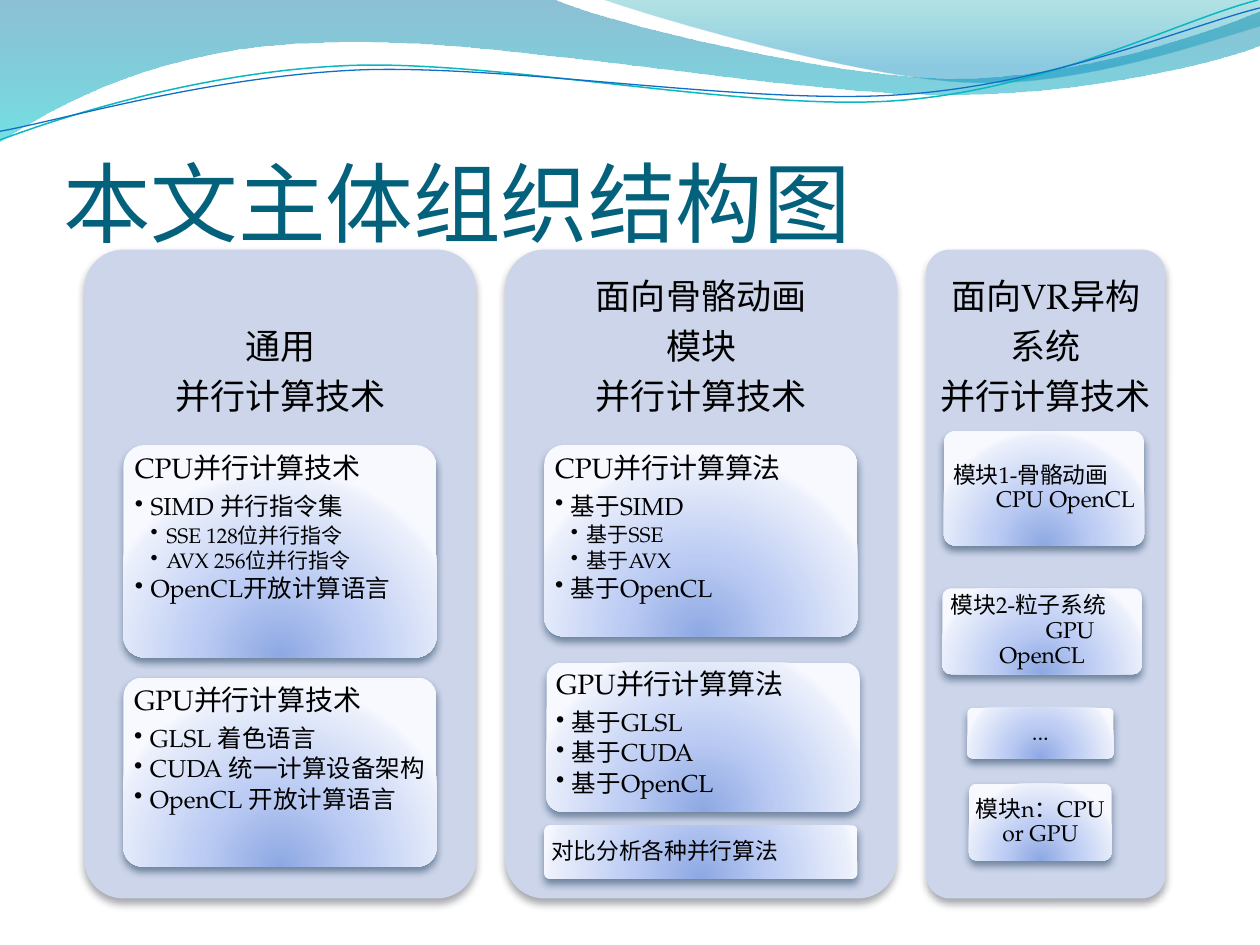
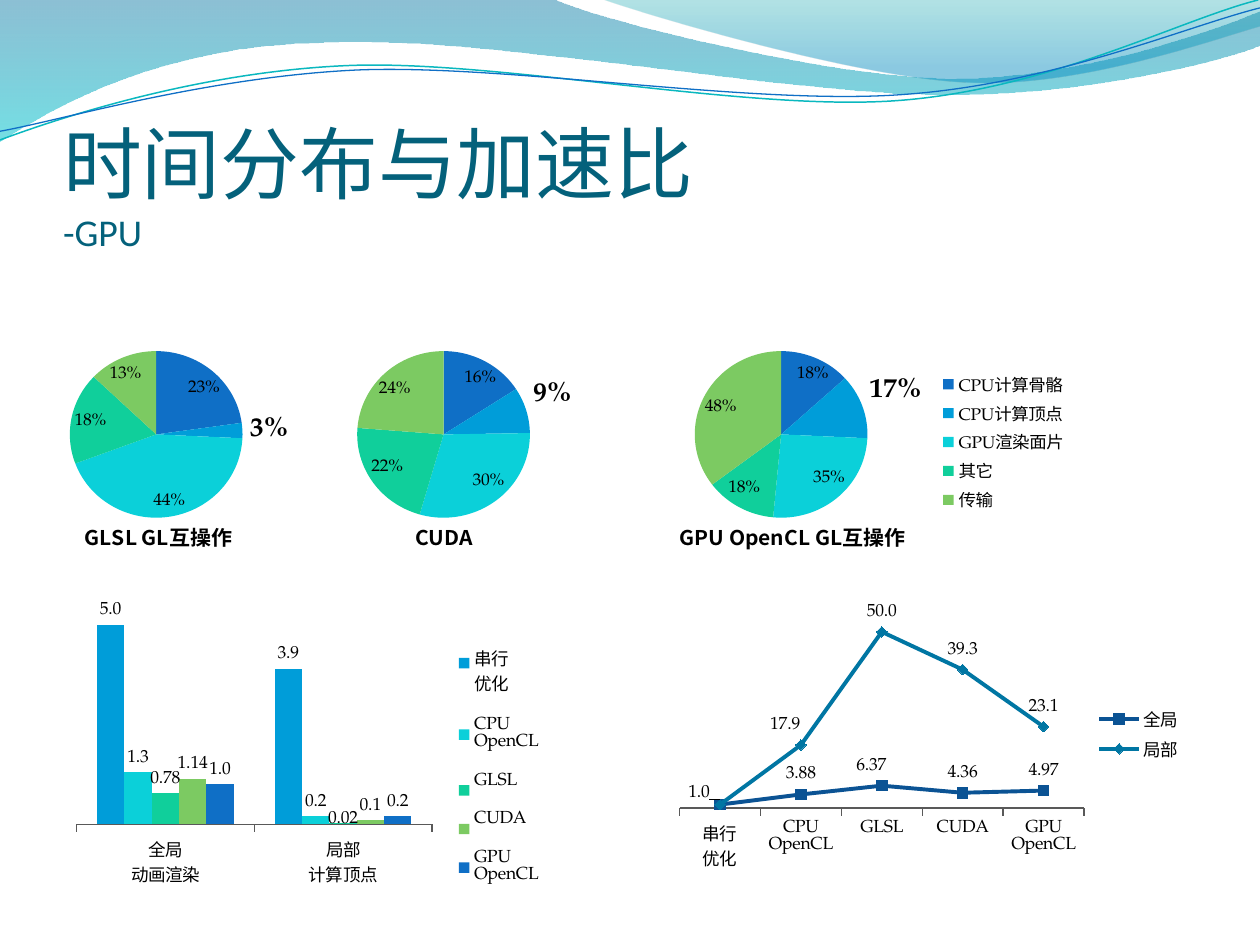
from lxml import etree
from pptx import Presentation
from pptx.chart.data import CategoryChartData
from pptx.dml.color import RGBColor
from pptx.enum.chart import (XL_CHART_TYPE, XL_LABEL_POSITION, XL_LEGEND_POSITION,
                             XL_MARKER_STYLE, XL_TICK_LABEL_POSITION, XL_TICK_MARK)
from pptx.enum.shapes import MSO_SHAPE
from pptx.enum.text import MSO_ANCHOR, MSO_AUTO_SIZE, PP_ALIGN
from pptx.oxml import parse_xml
from pptx.oxml.ns import nsdecls, qn
from pptx.util import Pt

LEFT, CENTER, RIGHT = PP_ALIGN.LEFT, PP_ALIGN.CENTER, PP_ALIGN.RIGHT
TOP, MIDDLE, BOTTOM = MSO_ANCHOR.TOP, MSO_ANCHOR.MIDDLE, MSO_ANCHOR.BOTTOM
ROUNDED = MSO_SHAPE.ROUNDED_RECTANGLE
PIE, COLUMN, LINE = (XL_CHART_TYPE.PIE, XL_CHART_TYPE.COLUMN_CLUSTERED,
                     XL_CHART_TYPE.LINE_MARKERS)
ABOVE, BEST_FIT, OUTSIDE = (XL_LABEL_POSITION.ABOVE, XL_LABEL_POSITION.BEST_FIT,
                            XL_LABEL_POSITION.OUTSIDE_END)
SQUARE, DIAMOND = XL_MARKER_STYLE.SQUARE, XL_MARKER_STYLE.DIAMOND

BODY_FONT, TITLE_FONT, CAPTION_FONT = "TeX Gyre Pagella", "Calibri", "Noto Sans CJK SC"
BLACK, TITLE_COLOR, PANEL_COLOR = "000000", "04617B", "CCD5EA"
BLUE, SKY, CYAN, GREEN, LIME = "0F6FC6", "009DD9", "0BD0D9", "10CF9B", "7CCA62"
CARD_STOPS = [(0, "8DA8E3", 100), (43, "BBCBF3", 100), (93, "EAEFFB", 100), (100, "F7F9FF", 100)]
CARD_GLOW = ('<a:path path="circle"><a:fillToRect l="50000" t="130000" r="50000" b="-30000"/>'
             '</a:path>')
DOWNWARD = '<a:lin ang="5400000" scaled="0"/>'
LEVEL_SIZES = (16, 14, 12)

# Wave paths in points: pairs are straight ends, sextuples are Bezier curves
WAVE_BANDS = [
    ([(0, 0), (317, 0), (343, 12, 478, 45, 546, 45), (614, 45, 690, 19, 720, 6.5), (720, 26),
      (708, 32, 626, 55, 537, 54), (447, 54, 275, 20, 185, 24.5), (93, 26, 33, 60, 0, 81)],
     [(0, "0074A1", 45), (100, "00C6CF", 55)]),
    ([(345, 0), (367, 8, 491, 45, 554, 47), (616, 50, 692, 23, 720, 15), (720, 0)],
     [(0, "00A1A9", 30), (80, "008BBF", 45)]),
]
WAVE_LINES = [
    ([(0, 80), (35, 67, 114, 41, 199, 37.5), (284, 34, 427, 64, 513, 57.5),
      (600, 51, 675, 11, 719, 0)], "0AB8BF", 0.85),
    ([(0, 75), (34, 69, 118, 44, 204, 40), (290, 36.5, 430, 60.5, 516, 54),
      (602, 48, 678, 15, 720, 4.5)], BLUE, 0.75),
]

# Columns: left, width, heading lines
COLUMNS = [
    (48.2, 223.9, ["通用", "并行计算技术"]),
    (288.7, 223.9, ["面向骨骼动画", "模块", "并行计算技术"]),
    (529.2, 136.8, ["面向VR异构", "系统", "并行计算技术"]),
]
# Outline cards: box, then (level, text)
OUTLINES = [
    ((70.5, 254.3, 179, 121.5), [
        (0, "CPU并行计算技术"), (1, "SIMD 并行指令集"), (2, "SSE 128位并行指令"),
        (2, "AVX 256位并行指令"), (1, "OpenCL开放计算语言")]),
    ((70.5, 387.2, 179, 108), [
        (0, "GPU并行计算技术"), (1, "GLSL 着色语言"), (1, "CUDA 统一计算设备架构"),
        (1, "OpenCL 开放计算语言")]),
    ((311, 254.3, 179, 109.4), [
        (0, "CPU并行计算算法"), (1, "基于SIMD"), (2, "基于SSE"), (2, "基于AVX"),
        (1, "基于OpenCL")]),
    ((312.3, 378.7, 179, 85), [
        (0, "GPU并行计算算法"), (1, "基于GLSL"), (1, "基于CUDA"), (1, "基于OpenCL")]),
]
# Module cards: box, side inset, then (text, alignment, indent)
MODULES = [
    ((311, 471.6, 179, 30.5), 3, [("对比分析各种并行算法", LEFT, 0)]),
    ((539.3, 246.2, 114.5, 65.5), 3.5, [("模块1-骨骼动画", LEFT, 0), ("CPU OpenCL", RIGHT, 0)]),
    ((538.5, 336.2, 114, 49), 3.5, [("模块2-粒子系统", LEFT, 0), ("GPU", CENTER, 32),
                                    ("OpenCL", CENTER, 0)]),
    ((552.8, 404.6, 83.5, 28.8), 3, [("...", CENTER, 0)]),
    ((553.7, 447.8, 81.5, 44), 1, [("模块n：CPU or GPU", CENTER, 0)]),
]
# Pies: left, caption, caption offset, slice names, shares
STAGES = ["CPU计算骨骼", "CPU计算顶点", "GPU渲染面片", "其它", "传输"]
NUMBERS = ["1", "2", "3", "4", "5"]
TIME_SHARES = [
    (371.5, "GPU OpenCL GL互操作", 0.06, STAGES, (0.18, 0.17, 0.35, 0.18, 0.48)),
    (178.6, "CUDA", 0.23, NUMBERS, (0.16, 0.09, 0.3, 0.22, 0.24)),
    (14.4, "GLSL GL互操作", 0.13, NUMBERS, (0.23, 0.03, 0.44, 0.18, 0.13)),
]
METHODS = ["串行\n优化", "CPU\nOpenCL", "GLSL", "CUDA", "GPU\nOpenCL"]
TIMES = [(5, 3.9), (1.3, 0.2), (0.78, 0.02), (1.14, 0.1), (1, 0.2)]
TIME_STYLES = [(SKY, "0.0"), (CYAN, "0.0"), (GREEN, "0.00"), (LIME, "General"), (BLUE, "0.0")]
SPEEDUPS = [("全局", (1, 3.88, 6.37, 4.36, 4.97)), ("局部", (1, 17.9, 50, 39.3, 23.1))]
SPEEDUP_STYLES = [("0B5394", SQUARE, "0.00"), ("0076A3", DIAMOND, "0.0")]


def rgb(value):
    return RGBColor.from_string(value)


def box_of(box):
    return [Pt(length) for length in box]


# ---- Text ----
def style_font(font, size, color=BLACK, name=BODY_FONT, bold=False):
    font.size, font.name, font.bold = Pt(size), name, bold
    font.color.rgb = rgb(color)


def write(paragraph, text, size, color=BLACK, name=BODY_FONT, align=LEFT,
          spacing=0.9, after=0, indent=0, bullet=False):
    properties = paragraph._p.get_or_add_pPr()
    if indent:
        properties.set("marL", str(Pt(indent)))
    if bullet:
        properties.set("indent", str(-Pt(9)))
        etree.SubElement(properties, qn("a:buChar"), char="•")
    paragraph.alignment, paragraph.line_spacing = align, spacing
    paragraph.space_after = Pt(after)
    run = paragraph.add_run()
    run.text = text
    style_font(run.font, size, color, name)
    etree.SubElement(run._r.get_or_add_rPr(), qn("a:ea"), typeface=TITLE_FONT)


def next_paragraph(frame):
    first = frame.paragraphs[0]
    return frame.add_paragraph() if first.runs else first


def set_frame(frame, anchor, insets):
    frame.word_wrap, frame.auto_size, frame.vertical_anchor = True, MSO_AUTO_SIZE.NONE, anchor
    (frame.margin_left, frame.margin_top,
     frame.margin_right, frame.margin_bottom) = box_of(insets)


def set_title(slide, text, size, subtitle=None):
    title = slide.shapes.title
    title.left, title.top, title.width, title.height = box_of((36, 55.4, 648, 90))
    set_frame(title.text_frame, BOTTOM, (0, 3.6, 0, 0))
    paragraph = title.text_frame.paragraphs[0]
    style = dict(color=TITLE_COLOR, name=TITLE_FONT, spacing=1.0)
    write(paragraph, text, size, **style)
    if subtitle:
        paragraph.add_line_break()
        write(paragraph, subtitle, 21.6, **style)


# ---- Shapes ----
def fill_gradient(shape, stops, direction):
    shape.fill.background()
    stop_xml = "".join(
        f'<a:gs pos="{pos * 1000}"><a:srgbClr val="{color}"><a:alpha val="{alpha * 1000}"/>'
        f'</a:srgbClr></a:gs>' for pos, color, alpha in stops)
    properties = shape.element.spPr
    properties.replace(properties.find(qn("a:noFill")), parse_xml(
        f'<a:gradFill {nsdecls("a")} rotWithShape="1"><a:gsLst>{stop_xml}</a:gsLst>'
        f'{direction}</a:gradFill>'))


def add_rounded(slide, box, shadow_color):
    shape = slide.shapes.add_shape(ROUNDED, *box_of(box))
    shape.adjustments[0] = 0.1
    shape.line.fill.background()
    shape.shadow.inherit = False
    shape.element.spPr.find(qn("a:effectLst")).append(parse_xml(
        f'<a:outerShdw {nsdecls("a")} blurRad="{Pt(4.5)}" dist="{Pt(3)}" dir="5400000" '
        f'rotWithShape="0"><a:srgbClr val="{shadow_color}"><a:alpha val="48000"/></a:srgbClr>'
        '</a:outerShdw>'))
    return shape


def add_card(slide, box, anchor, side=3):
    card = add_rounded(slide, box, "042747")
    fill_gradient(card, CARD_STOPS, CARD_GLOW)
    set_frame(card.text_frame, anchor, (side, 2, side, 2))
    return card.text_frame


def add_column(slide, left, width, heading):
    panel = add_rounded(slide, (left, 142.6, width, 370.8), "474B53")
    panel.fill.solid()
    panel.fill.fore_color.rgb = rgb(PANEL_COLOR)
    frame = slide.shapes.add_textbox(*box_of((left, 142.6, width, 111.6))).text_frame
    set_frame(frame, BOTTOM, (6, 6, 6, 16))
    for number, line in enumerate(heading, 1):
        write(next_paragraph(frame), line, 20, align=CENTER,
              after=7 if number < len(heading) else 0)


def add_wave(slide, path, close):
    ends = [(Pt(segment[-2]), Pt(segment[-1])) for segment in path]
    builder = slide.shapes.build_freeform(*ends[0])
    builder.add_line_segments(ends[1:], close=close)
    wave = builder.convert_to_shape()
    wave.shadow.inherit = False
    # Bend the straight segments that have control points
    for segment, straight in zip(path[1:], wave.element.xpath(".//a:lnTo")):
        if len(segment) == 6:
            curve = etree.Element(qn("a:cubicBezTo"))
            for x, y in zip(segment[::2], segment[1::2]):
                etree.SubElement(curve, qn("a:pt"), x=str(Pt(x) - wave.left),
                                 y=str(Pt(y) - wave.top))
            straight.getparent().replace(straight, curve)
    return wave


def draw_waves(slide, layout):
    """Draw the header waves and hand them to the layout both slides use."""
    waves = []
    for path, stops in WAVE_BANDS:
        band = add_wave(slide, path, True)
        fill_gradient(band, stops, DOWNWARD)
        band.line.fill.background()
        waves.append(band)
    for path, color, width in WAVE_LINES:
        curve = add_wave(slide, path, False)
        curve.fill.background()
        curve.line.color.rgb, curve.line.width = rgb(color), Pt(width)
        waves.append(curve)
    for index, wave in enumerate(waves):
        wave.element.xpath(".//p:cNvPr")[0].set("id", str(20 + index))
        layout.shapes.element.insert(2 + index, wave.element)


# ---- Charts ----
def place(parent, index, inner=False, **position):
    old = parent.find(qn("c:layout"))
    if old is not None:
        parent.remove(old)
    layout = etree.Element(qn("c:layout"))
    manual = etree.SubElement(layout, qn("c:manualLayout"))
    if inner:
        etree.SubElement(manual, qn("c:layoutTarget"), val="inner")
    for mode in ("xMode", "yMode"):
        etree.SubElement(manual, qn(f"c:{mode}"), val="edge")
    for key, value in position.items():
        etree.SubElement(manual, qn(f"c:{key}"), val=str(value))
    parent.insert(index, layout)


def add_chart(slide, kind, box, categories, series, plot_box, legend, number_format="General"):
    data = CategoryChartData(number_format=number_format)
    data.categories = categories
    for name, values in series:
        data.add_series(name, values)
    chart = slide.shapes.add_chart(kind, *box_of(box), data).chart
    style_font(chart.font, 10)
    chart.has_title = False
    chart.has_legend = legend
    if legend:
        chart.legend.position = XL_LEGEND_POSITION.RIGHT
        chart.legend.include_in_layout = False
    chart.plots[0].vary_by_categories = kind == PIE
    place(chart.element.find(".//" + qn("c:plotArea")), 0, inner=True,
          **dict(zip("xywh", plot_box)))
    return chart


def set_axes(chart, maximum):
    values, categories = chart.value_axis, chart.category_axis
    values.minimum_scale, values.maximum_scale = 0, maximum
    values.has_major_gridlines = values.visible = False
    categories.major_tick_mark = XL_TICK_MARK.OUTSIDE
    categories.tick_label_position = XL_TICK_LABEL_POSITION.LOW
    categories.format.line.color.rgb = rgb("595959")


def show_values(series, number_format, position):
    labels = series.data_labels
    labels.show_value = True
    labels.number_format, labels.number_format_is_linked = number_format, False
    labels.position = position


def adjust_label(series, order, point, content):
    series.data_labels._element.insert(order, parse_xml(
        f'<c:dLbl {nsdecls("c")}><c:idx val="{point}"/>{content}</c:dLbl>'))


def shift_label(series, order, point, dx, dy, number_format, position):
    hidden = "".join(f'<c:{part} val="0"/>' for part in
                     ("showCatName", "showSerName", "showPercent", "showBubbleSize"))
    adjust_label(series, order, point,
                 f'<c:layout><c:manualLayout><c:x val="{dx}"/><c:y val="{dy}"/></c:manualLayout>'
                 f'</c:layout><c:numFmt formatCode="{number_format}" sourceLinked="0"/>'
                 f'<c:dLblPos val="{position}"/><c:showLegendKey val="0"/>'
                 f'<c:showVal val="1"/>{hidden}')


def add_time_pie(slide, left, caption, caption_x, slices, shares, legend):
    chart = add_chart(slide, PIE, (left, 190.8, 245.5, 128.2), slices, [("Series 1", shares)],
                      (0.08, 0.08, 0.45, 0.77), legend, "0%")
    chart.has_title = True
    run = chart.chart_title.text_frame.paragraphs[0].add_run()
    run.text = caption
    style_font(run.font, 12, name=CAPTION_FONT, bold=True)
    title = chart.chart_title._element
    place(title, 1, x=caption_x, y=0.84)
    title.find(qn("c:overlay")).set("val", "1")
    series = chart.plots[0].series[0]
    show_values(series, "0%", BEST_FIT)
    for index, color in enumerate((BLUE, SKY, CYAN, GREEN, LIME)):
        fill = series.points[index].format.fill
        fill.solid()
        fill.fore_color.rgb = rgb(color)
    vertex_label = series.points[1].data_label
    style_font(vertex_label.font, 16, bold=True)
    vertex_label.position = OUTSIDE


def add_speedup_lines(slide):
    chart = add_chart(slide, LINE, (382.3, 337.7, 300.2, 163.4), METHODS, SPEEDUPS,
                      (0.02, 0.02, 0.77, 0.74), True)
    set_axes(chart, 60)
    for series, (color, marker, number_format) in zip(chart.plots[0].series, SPEEDUP_STYLES):
        series.smooth = False
        series.format.line.color.rgb, series.format.line.width = rgb(color), Pt(2.25)
        series.marker.style, series.marker.size = marker, 6
        series.marker.format.fill.solid()
        series.marker.format.fill.fore_color.rgb = rgb(color)
        series.marker.format.line.color.rgb = rgb(color)
        show_values(series, number_format, ABOVE)
    # Both lines start at 1, so only one of them labels that point
    overall, partial = chart.plots[0].series
    adjust_label(overall, 0, 0, '<c:delete val="1"/>')
    shift_label(overall, 1, 2, -0.02, 0, "0.00", "t")
    shift_label(partial, 0, 0, -0.04, 0.03, "0.0", "t")
    shift_label(partial, 1, 1, -0.03, 0, "0.0", "t")


def add_time_columns(slide):
    chart = add_chart(slide, COLUMN, (31, 332.6, 317.5, 187.2), ["全局\n动画渲染", "局部\n计算顶点"],
                      zip(METHODS, TIMES), (0.04, 0.01, 0.64, 0.73), True)
    set_axes(chart, 6)
    chart.plots[0].gap_width, chart.plots[0].overlap = 150, 0
    place(chart.legend._element, 1, x=0.71, y=0.13, w=0.18, h=0.86)
    for series, (color, number_format) in zip(chart.plots[0].series, TIME_STYLES):
        series.format.fill.solid()
        series.format.fill.fore_color.rgb = rgb(color)
        show_values(series, number_format, OUTSIDE)
    shift_label(chart.plots[0].series[2], 0, 1, 0, 0.03, "0.00", "outEnd")


def main():
    deck = Presentation()
    deck.slide_width, deck.slide_height = Pt(720), Pt(540)
    layout = deck.slide_layouts[5]

    # Structure of the thesis
    structure = deck.slides.add_slide(layout)
    draw_waves(structure, layout)
    set_title(structure, "本文主体组织结构图", 50)
    for column in COLUMNS:
        add_column(structure, *column)
    for box, lines in OUTLINES:
        frame = add_card(structure, box, TOP)
        for level, text in lines:
            size = LEVEL_SIZES[level]
            paragraph = next_paragraph(frame)
            paragraph.level = level
            write(paragraph, text, size, after=size * (0.15 if level else 0.35),
                  indent=9 * level, bullet=level > 0)
    for box, side, lines in MODULES:
        frame = add_card(structure, box, MIDDLE, side)
        for text, align, indent in lines:
            write(next_paragraph(frame), text, 13, align=align, indent=indent)

    # Time shares and speedup
    timing = deck.slides.add_slide(layout)
    set_title(timing, "时间分布与加速比", 45, "-GPU")
    for index, pie in enumerate(TIME_SHARES):
        add_time_pie(timing, *pie, legend=index == 0)
    add_speedup_lines(timing)
    add_time_columns(timing)
    deck.save("out.pptx")


if __name__ == "__main__":
    main()
